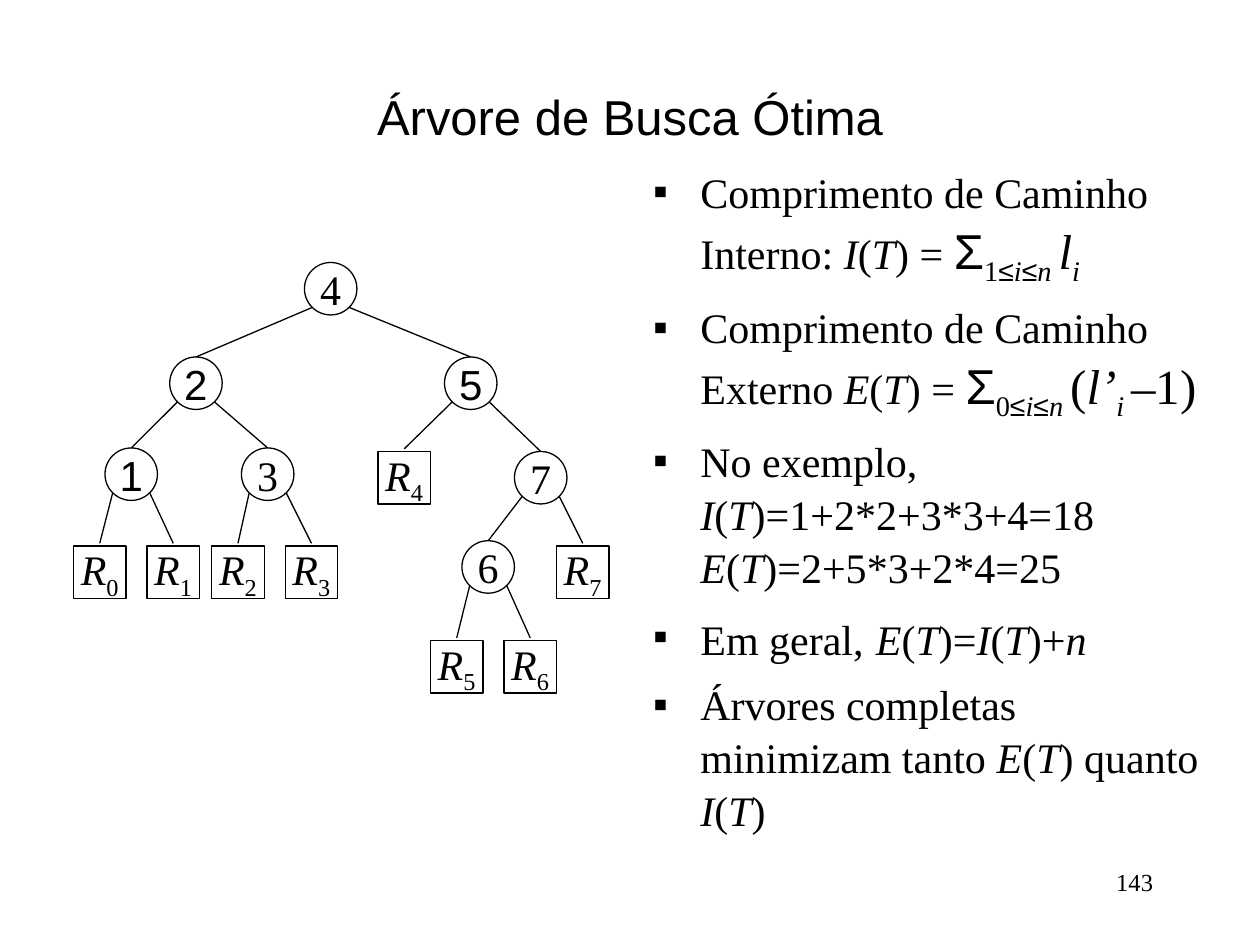
from lxml import etree
from pptx import Presentation
from pptx.dml.color import RGBColor
from pptx.enum.shapes import MSO_CONNECTOR, MSO_SHAPE
from pptx.enum.text import MSO_ANCHOR, MSO_AUTO_SIZE, PP_ALIGN
from pptx.oxml.ns import qn
from pptx.util import Pt

STRAIGHT = MSO_CONNECTOR.STRAIGHT
OVAL, BOX = MSO_SHAPE.OVAL, MSO_SHAPE.RECTANGLE
MIDDLE, TOP = MSO_ANCHOR.MIDDLE, MSO_ANCHOR.TOP
NO_AUTOFIT = MSO_AUTO_SIZE.NONE
CENTER, RIGHT, LEFT = PP_ALIGN.CENTER, PP_ALIGN.RIGHT, PP_ALIGN.LEFT
COLORS = {"ink": "000000"}
INK = RGBColor.from_string(COLORS["ink"])
SERIF, SANS = "Times New Roman", "Arial"

ITALIC = {"italic": True}
LARGE = {"size": 28}
SUBSCRIPT = {"size": 28, "subscript": True}
ITALIC_SUBSCRIPT = {**SUBSCRIPT, **ITALIC}
SANS_SUBSCRIPT = {**SUBSCRIPT, "font": SANS}


def write(paragraph, text, size=24, font=SERIF, italic=False, subscript=False):
    for number, line in enumerate(text.split("\n")):
        if number:
            paragraph.add_line_break()
        if not line:
            continue
        run = paragraph.add_run()
        run.text = line
        run.font.size = Pt(size)
        run.font.name = font
        run.font.italic = italic
        run.font.color.rgb = INK
        if subscript:
            run._r.get_or_add_rPr().set("baseline", "-25000")


def of_tree(name):
    return [(name, ITALIC), ("(", {}), ("T", ITALIC), (")", {})]


presentation = Presentation()
presentation.slide_width = Pt(720)
presentation.slide_height = Pt(540)
slide = presentation.slides.add_slide(presentation.slide_layouts[1])

title = slide.shapes.title
title.left, title.top, title.width, title.height = Pt(54), Pt(48), Pt(612), Pt(36)
title.text_frame.auto_size = NO_AUTOFIT
title.text_frame.vertical_anchor = MIDDLE
title_paragraph = title.text_frame.paragraphs[0]
title_paragraph.alignment = CENTER
write(title_paragraph, "Árvore de Busca Ótima", size=28, font=SANS)

SIGMA = ("Σ", {"size": 28, "font": SANS})
UP_TO_N = [("≤", SANS_SUBSCRIPT), ("i", ITALIC_SUBSCRIPT),
           ("≤", SANS_SUBSCRIPT), ("n ", ITALIC_SUBSCRIPT)]
bullets = [
    (7, [("Comprimento de Caminho Interno: ", {}), *of_tree("I"), (" = ", {}),
         SIGMA, ("1", SUBSCRIPT), *UP_TO_N,
         ("l", {**LARGE, **ITALIC}), ("i", ITALIC_SUBSCRIPT)]),
    (7, [("Comprimento de Caminho Externo ", {}), *of_tree("E"), (" = ", {}),
         SIGMA, ("0", SUBSCRIPT), *UP_TO_N, ("(", LARGE),
         ("l’", {**LARGE, **ITALIC}), ("i ", ITALIC_SUBSCRIPT), ("–1)", LARGE)]),
    (6, [("No exemplo, \n", {}), *of_tree("I"), ("=1+2*2+3*3+4=18\n", {}),
         *of_tree("E"), ("=2+5*3+2*4=25", {})]),
    (7, [("Em geral,", {}), (" ", LARGE), *of_tree("E"), ("=", {}),
         *of_tree("I"), ("+", {}), ("n", ITALIC)]),
    (6, [("Árvores completas minimizam tanto ", {}), *of_tree("E"),
         (" quanto ", {}), *of_tree("I")]),
]

body = slide.placeholders[1]
body.left, body.top, body.width, body.height = Pt(366), Pt(90), Pt(336), Pt(390)
body_frame = body.text_frame
body_frame.auto_size = NO_AUTOFIT
body_frame.vertical_anchor = TOP
for number, (space_before, runs) in enumerate(bullets):
    paragraph = body_frame.add_paragraph() if number else body_frame.paragraphs[0]
    paragraph.alignment = LEFT
    paragraph.space_before = Pt(space_before)
    paragraph.line_spacing = 1.05
    properties = paragraph._p.get_or_add_pPr()
    properties.set("marL", str(Pt(27)))
    properties.set("indent", str(Pt(-27)))
    bullet_color = etree.SubElement(properties, qn("a:buClr"))
    etree.SubElement(bullet_color, qn("a:srgbClr")).set("val", COLORS["ink"])
    etree.SubElement(properties, qn("a:buChar")).set("char", "▪")
    for text, style in runs:
        write(paragraph, text, **style)

NODE_SIZE = 30
nodes = {
    "4": (174, 150), "2": (97, 204), "5": (254, 204),
    "1": (60, 256), "3": (138, 256), "7": (294, 258), "6": (264, 309),
    "R0": (42, 312), "R1": (84, 312), "R2": (121, 312), "R3": (163, 312),
    "R4": (216, 258), "R5": (246, 366), "R6": (288, 366), "R7": (318, 312),
}
SANS_NODES = {"1", "2", "5"}
children = {"4": ("2", "5"), "2": ("1", "3"), "5": ("R4", "7"), "7": ("6", "R7"),
            "1": ("R0", "R1"), "3": ("R2", "R3"), "6": ("R5", "R6")}

for parent, pair in children.items():
    parent_left, parent_top = nodes[parent]
    for child, side in zip(pair, (-1, 1)):
        child_left, child_top = nodes[child]
        leaf_gap = 1.5 if child.startswith("R") else 0
        edge = slide.shapes.add_connector(
            STRAIGHT,
            Pt(parent_left + NODE_SIZE / 2 + side * 10.6), Pt(parent_top + 25.7),
            Pt(child_left + NODE_SIZE / 2), Pt(child_top - leaf_gap))
        edge.line.color.rgb = INK
        edge.line.width = Pt(0.75)
        etree.SubElement(edge._element.spPr, qn("a:effectLst"))

for label, (left, top) in nodes.items():
    is_leaf = label.startswith("R")
    node = slide.shapes.add_shape(BOX if is_leaf else OVAL, Pt(left), Pt(top),
                                  Pt(NODE_SIZE), Pt(NODE_SIZE))
    node.shadow.inherit = False
    node.fill.background()
    node.line.color.rgb = INK
    node.line.width = Pt(0.75)
    node.text_frame.word_wrap = False
    node.text_frame.vertical_anchor = MIDDLE
    paragraph = node.text_frame.paragraphs[0]
    paragraph.alignment = CENTER
    if is_leaf:
        write(paragraph, "R", italic=True)
        write(paragraph, label[1:], subscript=True)
    else:
        write(paragraph, label, font=SANS if label in SANS_NODES else SERIF)

page_number = slide.shapes.add_textbox(Pt(516), Pt(492), Pt(150), Pt(36))
page_number.text_frame.word_wrap = True
page_paragraph = page_number.text_frame.paragraphs[0]
page_paragraph.alignment = RIGHT
write(page_paragraph, "143", size=14)

presentation.save("out.pptx")
